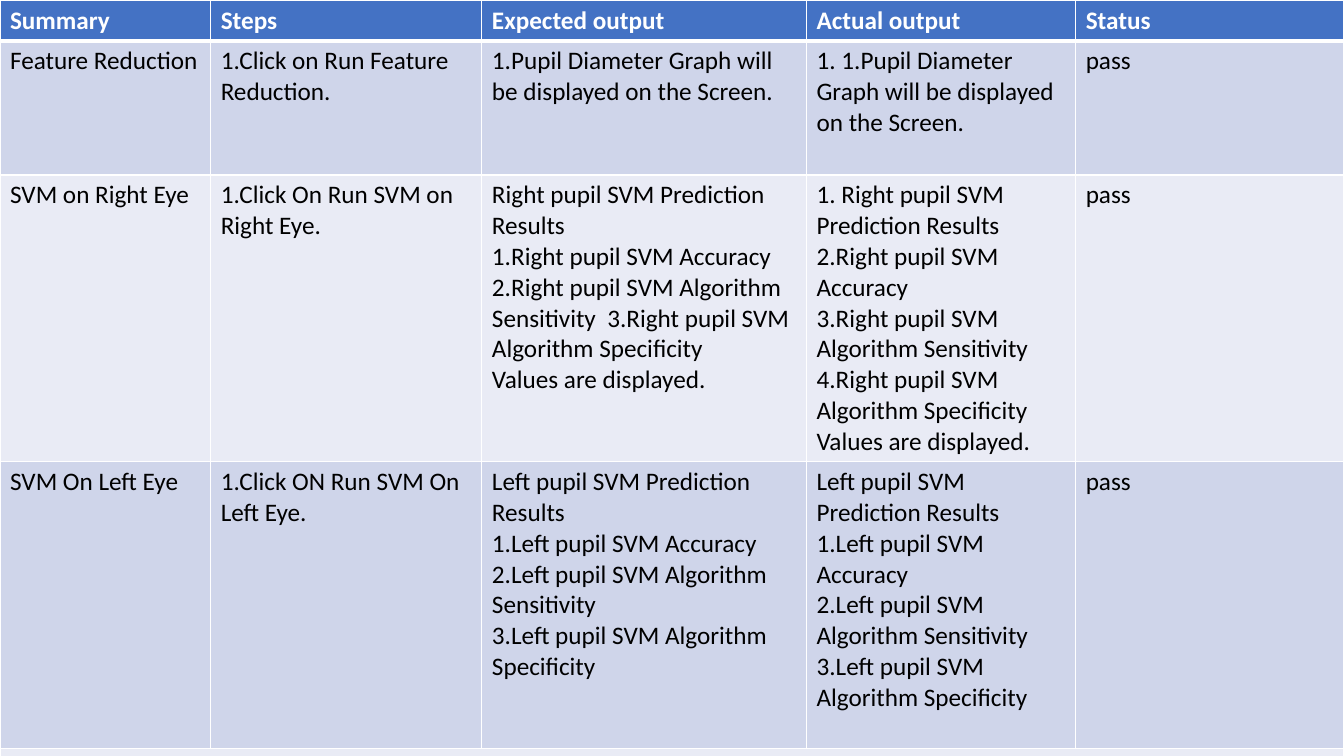
"""Build a slide with a table of software test cases and their results."""
from lxml import etree
from pptx import Presentation
from pptx.dml.color import RGBColor
from pptx.enum.text import MSO_ANCHOR
from pptx.oxml.ns import qn
from pptx.util import Inches, Pt

TOP = MSO_ANCHOR.TOP
BLANK_LAYOUT = 6
FONT = "Calibri"
WHITE, BLACK, HEADER_BLUE = "FFFFFF", "000000", "4472C4"
BAND_FILLS = ["E9EBF5", "CFD5EA"]
COLUMN_WIDTHS = [2.09, 2.69, 3.22, 2.67, 2.66]
ROW_HEIGHTS = [0.4, 1.33, 2.84, 2.84, 1.03]

LEFT_EYE_RESULTS = [
    "Left pupil SVM Prediction Results",
    "1.Left pupil SVM Accuracy",
    "2.Left pupil SVM Algorithm Sensitivity",
    "3.Left pupil SVM Algorithm Specificity",
]
TEST_CASES = [
    [["Summary"], ["Steps"], ["Expected output"], ["Actual output"], ["Status"]],
    [
        ["Feature Reduction"],
        ["1.Click on Run Feature", "Reduction."],
        ["1.Pupil Diameter Graph will be displayed on the Screen."],
        ["1. 1.Pupil Diameter Graph will be displayed on the Screen."],
        ["pass"],
    ],
    [
        ["SVM on Right Eye"],
        ["1.Click On Run SVM on Right Eye."],
        [
            "Right pupil SVM Prediction Results",
            "1.Right pupil SVM Accuracy",
            "2.Right pupil SVM Algorithm Sensitivity  3.Right pupil SVM Algorithm Specificity",
            "Values are displayed.",
        ],
        [
            "1. Right pupil SVM Prediction Results",
            "2.Right pupil SVM Accuracy",
            "3.Right pupil SVM Algorithm Sensitivity  4.Right pupil SVM Algorithm Specificity",
            "Values are displayed.",
        ],
        ["pass"],
    ],
    [
        ["SVM On Left Eye"],
        ["1.Click ON Run SVM On Left Eye."],
        LEFT_EYE_RESULTS,
        LEFT_EYE_RESULTS,
        ["pass"],
    ],
    [[], [], [], [], []],
]


def color(hex_value):
    return RGBColor.from_string(hex_value)


def add_border(cell, side, points):
    line = etree.SubElement(cell._tc.get_or_add_tcPr(), qn(f"a:ln{side}"), w=str(Pt(points)))
    fill = etree.SubElement(line, qn("a:solidFill"))
    etree.SubElement(fill, qn("a:srgbClr"), val=WHITE)


presentation = Presentation()
presentation.slide_width = Inches(13.33)
presentation.slide_height = Inches(7.5)
slide = presentation.slides.add_slide(presentation.slide_layouts[BLANK_LAYOUT])

table = slide.shapes.add_table(
    len(ROW_HEIGHTS), len(COLUMN_WIDTHS), Inches(0), Inches(0),
    Inches(sum(COLUMN_WIDTHS)), Inches(sum(ROW_HEIGHTS)),
).table
for column, width in zip(table.columns, COLUMN_WIDTHS):
    column.width = Inches(width)
for row, height in zip(table.rows, ROW_HEIGHTS):
    row.height = Inches(height)

for row_index, test_case in enumerate(TEST_CASES):
    is_header = row_index == 0
    for column_index, lines in enumerate(test_case):
        cell = table.cell(row_index, column_index)
        cell.vertical_anchor = TOP
        add_border(cell, "L", 1)
        add_border(cell, "R", 1)
        add_border(cell, "T", 3 if row_index == 1 else 1)
        add_border(cell, "B", 3 if is_header else 1)
        cell.fill.solid()
        cell.fill.fore_color.rgb = color(HEADER_BLUE if is_header else BAND_FILLS[row_index % 2])
        for line_index, text in enumerate(lines):
            text_frame = cell.text_frame
            paragraph = text_frame.add_paragraph() if line_index else text_frame.paragraphs[0]
            run = paragraph.add_run()
            run.text = text
            run.font.name = FONT
            run.font.size = Pt(18)
            run.font.bold = is_header
            run.font.color.rgb = color(WHITE if is_header else BLACK)

last_row = len(ROW_HEIGHTS) - 1
table.cell(last_row, 0).merge(table.cell(last_row, len(COLUMN_WIDTHS) - 1))

presentation.save("out.pptx")
